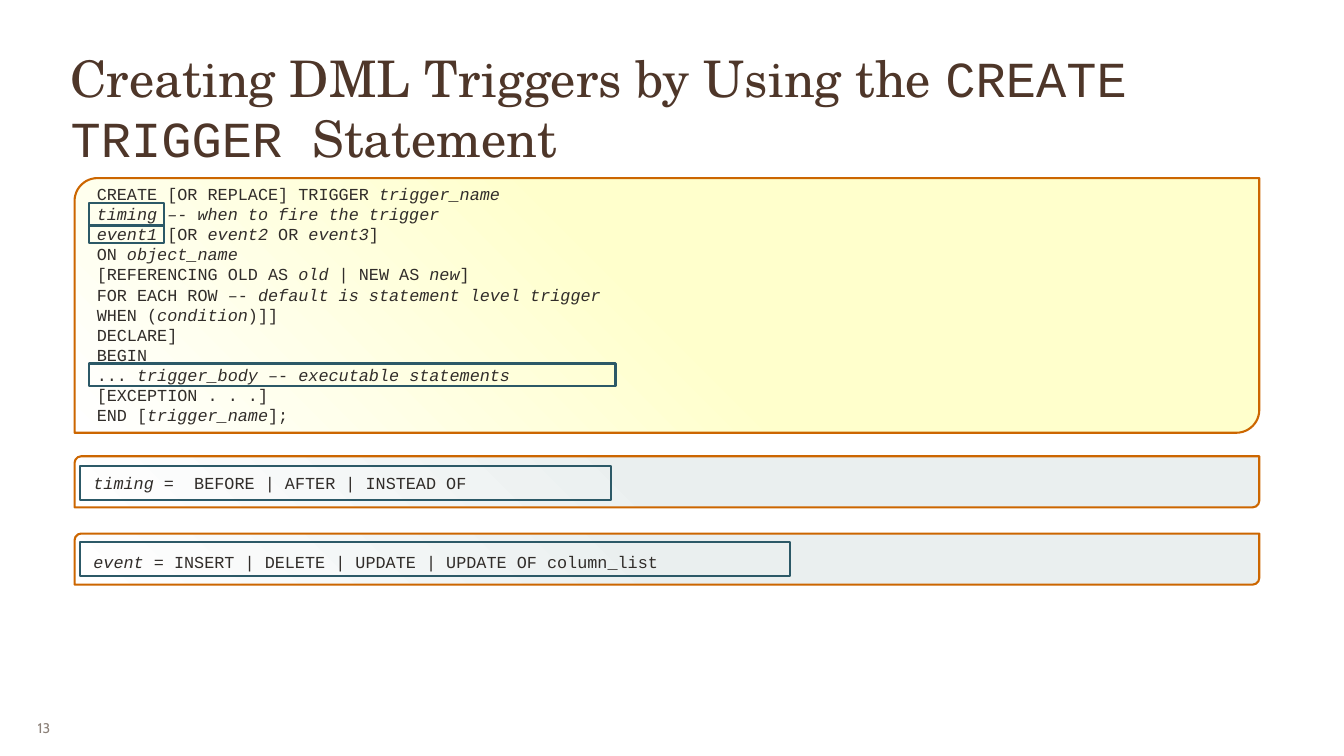
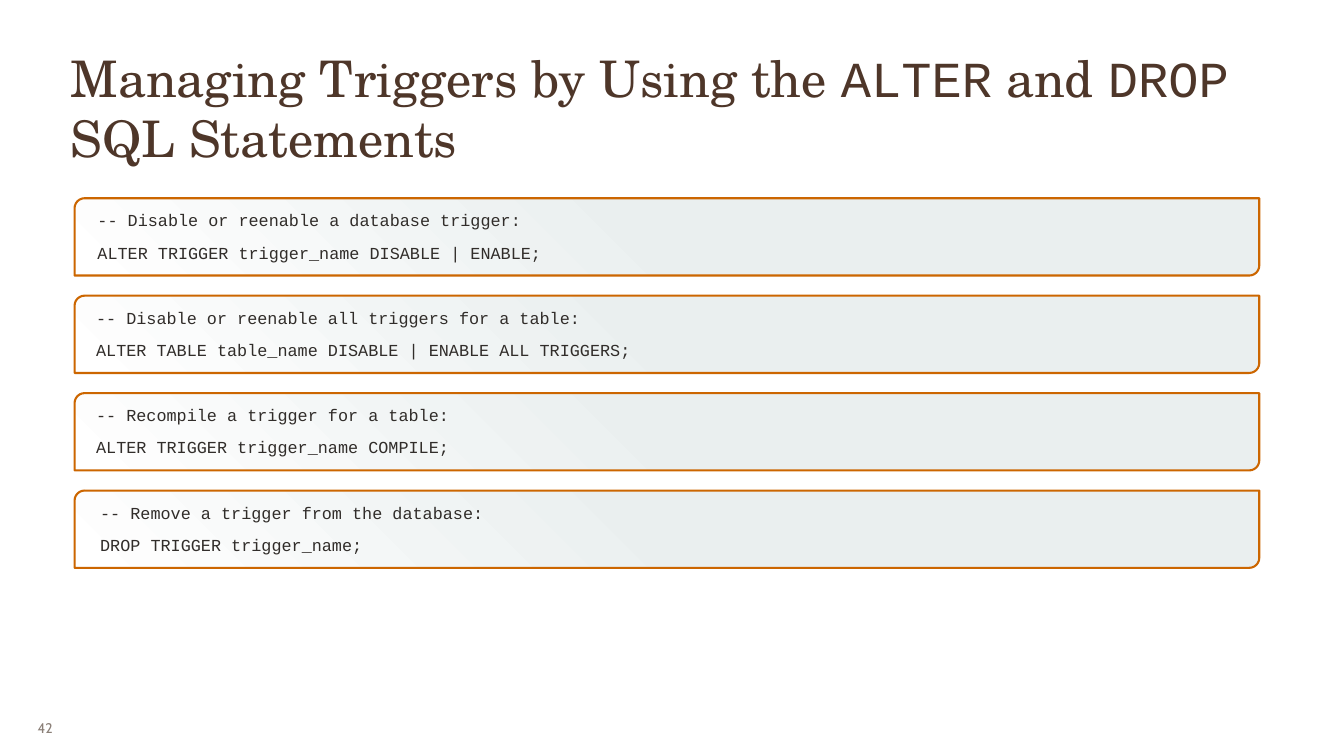
import pptx
import pptx.dml.color
import pptx.enum.shapes
import pptx.enum.text
import pptx.util

PX = 9144
COLORS = {
    "title": "4E3629", "code": "312D2A", "number": "8B8078", "border": "CC6600",
    "highlight": "2C5967", "yellow": "FFFFCC", "gray": "EAEFEF", "white": "FFFFFF",
}
SHAPES = pptx.enum.shapes.MSO_SHAPE
ANCHOR = pptx.enum.text.MSO_ANCHOR


def rgb(name):
    """Return a named colour."""
    return pptx.dml.color.RGBColor.from_string(COLORS[name])


def px(*lengths):
    """Turn px lengths into EMU."""
    return [pptx.util.Emu(length * PX) for length in lengths]


def write(frame, lines, font="Courier New", size=18, color="code", marked_font=None,
          italic=False, leading=None, gap=0, inset=(15, 8), anchor=ANCHOR.TOP):
    """Fill a text frame; stretches between asterisks take the marked format."""
    frame.word_wrap = True
    frame.auto_size = pptx.enum.text.MSO_AUTO_SIZE.NONE
    frame.vertical_anchor = anchor
    frame.margin_left, frame.margin_top = px(*inset)
    frame.margin_right, frame.margin_bottom = px(*inset)
    for index, line in enumerate(lines):
        para = frame.add_paragraph() if index else frame.paragraphs[0]
        para.alignment = pptx.enum.text.PP_ALIGN.LEFT
        para.space_before = pptx.util.Pt(gap if index else 0)
        if leading:
            para.line_spacing = pptx.util.Pt(leading)
        for position, text in enumerate(line.split("*")):
            if not text:
                continue
            marked = position % 2 == 1
            span = para.add_run()
            span.text = text
            span.font.name = marked_font if marked and marked_font else font
            span.font.size = pptx.util.Pt(size)
            span.font.italic = italic and marked
            span.font.color.rgb = rgb(color)


class SlideBuilder:
    """Hold the deck style and the current slide."""

    def __init__(self, deck):
        """Start with a deck that has no slides."""
        self.deck = deck
        self.slide = None

    def start(self, title, number):
        """Add a slide with its title and number."""
        self.slide = self.deck.slides.add_slide(self.deck.slide_layouts[5])
        box = self.slide.shapes.title
        box.left, box.top, box.width, box.height = px(102, 67, 1796, 128)
        write(box.text_frame, [title], font="TeX Gyre Schola", size=54, color="title",
              marked_font="Courier New", inset=(3, 3))
        self.text([number], 43, 1054, 65, 58, font="Cabin", size=15, color="number",
                  inset=(13, 7), anchor=ANCHOR.MIDDLE)

    def text(self, lines, left, top, width, height, **style):
        """Add a text box."""
        box = self.slide.shapes.add_textbox(*px(left, top, width, height))
        write(box.text_frame, lines, **style)

    def code(self, lines, left, top, width, height, **style):
        """Add code centred vertically in its box."""
        self.text(lines, left, top, width, height, italic=True, inset=(15, 1),
                  anchor=ANCHOR.MIDDLE, **style)

    def outline(self, kind, left, top, width, height, color):
        """Add an outlined shape without shadow."""
        shape = self.slide.shapes.add_shape(kind, *px(left, top, width, height))
        shape.shadow.inherit = False
        shape.line.color.rgb = rgb(color)
        shape.line.width = pptx.util.Pt(2.25)
        return shape

    def panel(self, top, height, color="gray", rounding=0.13):
        """Add a code panel that fades to white at the lower left."""
        shape = self.outline(SHAPES.ROUND_2_DIAG_RECTANGLE, 111, top, 1763, height, "border")
        shape.adjustments[0] = rounding
        shape.adjustments[1] = 0
        shape.fill.gradient()
        shape.fill.gradient_angle = 225
        for stop, name, position in zip(shape.fill.gradient_stops, (color, "white"), (0.5, 1)):
            stop.color.rgb = rgb(name)
            stop.position = position

    def highlight(self, left, top, width, height):
        """Add a hollow frame around part of the code."""
        self.outline(SHAPES.RECTANGLE, left, top, width, height, "highlight").fill.background()


def build_create_slide(builder):
    """Build the slide on creating triggers."""
    builder.start("Creating DML Triggers by Using the *CREATE TRIGGER *Statement", "13")
    builder.panel(265, 379, "yellow", 0.09)
    syntax = [
        "CREATE [OR REPLACE] TRIGGER *trigger_name*",
        "*timing –- when to fire the trigger*",
        "*event1 *[OR* event2 *OR* event3*]",
        "ON* object_name*",
        "[REFERENCING OLD AS *old | *NEW AS *new*]",
        "FOR EACH ROW –- *default is statement level trigger*",
        "WHEN (*condition*)]]",
        "DECLARE]",
        "BEGIN",
        "... *trigger_body *–- *executable statements*",
        "[EXCEPTION . . .]",
        "END [*trigger_name*];",
    ]
    builder.text(syntax, 129, 265, 1196, 563, italic=True, leading=21.6)
    for frame in ((133, 541, 783, 33), (132, 302, 112, 34), (132, 335, 112, 27)):
        builder.highlight(*frame)
    definitions = [
        ("*timing = * BEFORE | AFTER | INSTEAD OF", 679, 677, 82, 694, 790),
        ("*event* = INSERT | DELETE | UPDATE | UPDATE OF column_list", 794, 792, 88, 807, 1056),
    ]
    for line, panel_top, text_top, text_height, frame_top, frame_width in definitions:
        builder.panel(panel_top, 76)
        builder.code([line], 124, text_top, 1733, text_height, leading=21.6)
        builder.highlight(119, frame_top, frame_width, 50)


def build_manage_slide(builder):
    """Build the slide on managing triggers."""
    builder.start("Managing Triggers by Using the *ALTER* and *DROP* SQL Statements", "42")
    statements = [
        (130, "-- Disable or reenable a database trigger:",
         "ALTER TRIGGER trigger_name DISABLE | ENABLE;"),
        (128, "-- Disable or reenable all triggers for a table:",
         "ALTER TABLE table_name DISABLE | ENABLE ALL TRIGGERS;"),
        (128, "-- Recompile a trigger for a table:",
         "ALTER TRIGGER trigger_name COMPILE;"),
        (134, "-- Remove a trigger from the database:",
         "DROP TRIGGER trigger_name;"),
    ]
    for index, (left, *lines) in enumerate(statements):
        top = 295 + 145 * index
        builder.panel(top, 115)
        builder.code(lines, left, top + 16, 1645, 87, leading=17.3, gap=17.3)


def main():
    """Build and save the deck."""
    deck = pptx.Presentation()
    deck.slide_width, deck.slide_height = px(2000, 1125)
    builder = SlideBuilder(deck)
    build_create_slide(builder)
    build_manage_slide(builder)
    deck.save("out.pptx")


if __name__ == "__main__":
    main()
